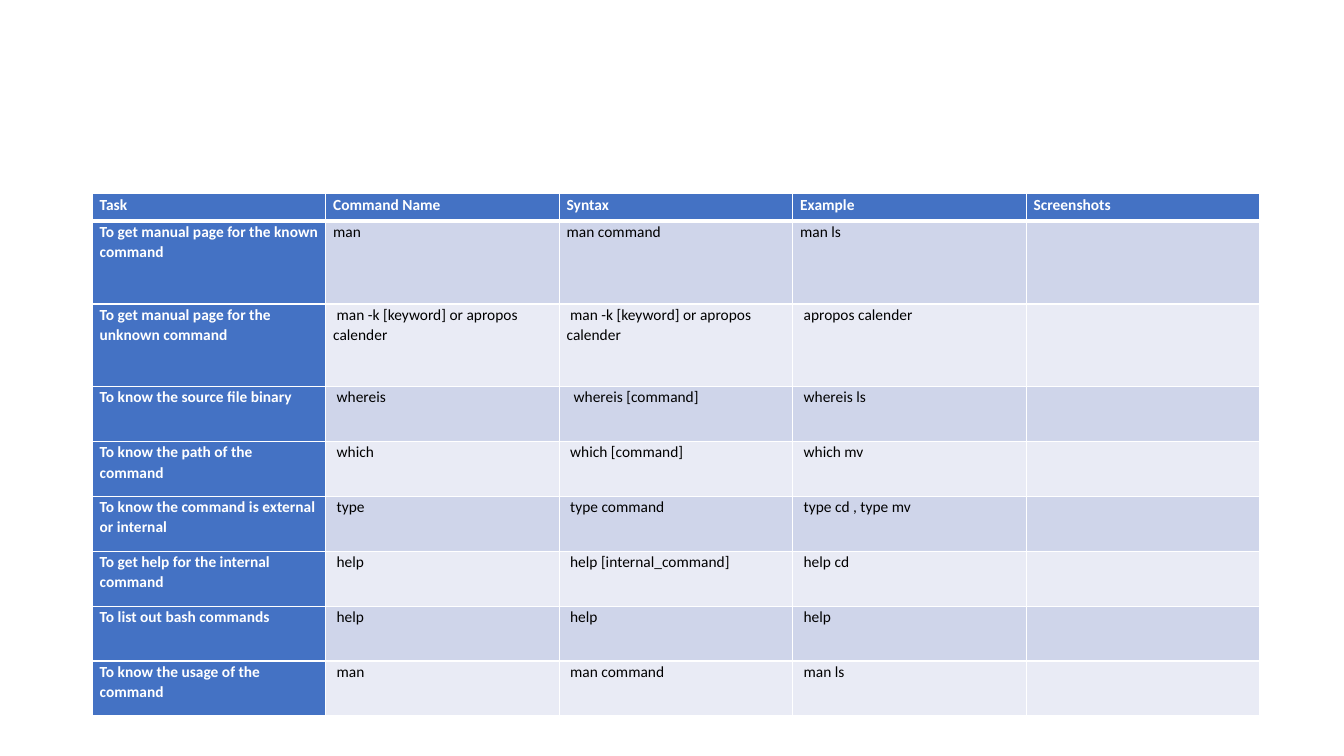
import pptx
import pptx.dml.color
import pptx.oxml.ns
import pptx.util
from lxml import etree

Pt = pptx.util.Pt


def color(value):
    return pptx.dml.color.RGBColor.from_string(value)


class Deck:
    font, size = "Calibri", 11
    white, black, accent = "FFFFFF", "000000", "4472C4"
    bands = ("CFD5EA", "E9EBF5")

    def __init__(self, width, height):
        self.prs = pptx.Presentation()
        self.prs.slide_width, self.prs.slide_height = Pt(width), Pt(height)
        self.s = self.prs.slides.add_slide(self.prs.slide_layouts[6])

    def border(self, cell, side, width):
        qn = pptx.oxml.ns.qn
        ln = etree.SubElement(cell._tc.get_or_add_tcPr(), qn("a:" + side), w=str(Pt(width)))
        fill = etree.SubElement(ln, qn("a:solidFill"))
        etree.SubElement(fill, qn("a:srgbClr"), val=self.white)

    def cell(self, cell, text, row, col, indent):
        # Borders come before the fill; a thick rule sits under the header
        thick = {"lnT": row == 1, "lnB": row == 0}
        for side in ("lnL", "lnR", "lnT", "lnB"):
            self.border(cell, side, 3 if thick.get(side) else 1)
        heading = row == 0 or col == 0
        cell.fill.solid()
        cell.fill.fore_color.rgb = color(self.accent if heading else self.bands[(row - 1) % 2])
        cell.margin_left = cell.margin_right = Pt(5.2)
        cell.margin_top = cell.margin_bottom = 0

        # Text
        p = cell.text_frame.paragraphs[0]
        p.text = text
        p.line_spacing, p.space_after = 1.07, Pt(8)
        if indent:
            p._p.get_or_add_pPr().set("indent", str(Pt(indent)))
        p.font.name, p.font.size = self.font, Pt(self.size)
        for r in p.runs:
            r.font.name, r.font.size, r.font.bold = self.font, Pt(self.size), heading
            r.font.color.rgb = color(self.white if heading else self.black)

    def table(self, left, top, width, heights, rows, indents):
        cols = len(rows[0])
        tbl = self.s.shapes.add_table(len(rows), cols, Pt(left), Pt(top),
                                      Pt(width), Pt(sum(heights))).table
        tbl.first_col = True
        for column in tbl.columns:
            column.width = Pt(width / cols)
        for i, (height, texts) in enumerate(zip(heights, rows)):
            tbl.rows[i].height = Pt(height)
            for j, text in enumerate(texts):
                self.cell(tbl.cell(i, j), text, i, j, indents.get((i, j), 0))


# Content
COMMANDS = [
    ("Task", "Command Name", "Syntax", "Example", "Screenshots"),
    ("To get manual page for the known command", "man", "man command", "man ls", ""),
    ("To get manual page for the unknown command", "man -k [keyword] or apropos calender",
     "man -k [keyword] or apropos calender", "apropos calender", ""),
    ("To know the source file binary", "whereis", "whereis [command]", "whereis ls", ""),
    ("To know the path of the command", "which", "which [command]", "which mv", ""),
    ("To know the command is external or internal", "type", "type command",
     "type cd , type mv", ""),
    ("To get help for the internal command", "help", "help [internal_command]", "help cd", ""),
    ("To list out bash commands", "help", "help", "help", ""),
    ("To know the usage of the command", "man", "man command", "man ls", ""),
]


def main():
    deck = Deck(960, 540)
    # First-line indents of the command cells
    indents = {(i, j): 2.5 for i in range(2, len(COMMANDS)) for j in range(1, 4)}
    indents[3, 2] = 5
    heights = [19.6] + [59.1] * 2 + [39.2] * 6
    deck.table(66, 138.5, 834, heights, COMMANDS, indents)
    deck.prs.save("out.pptx")


if __name__ == "__main__":
    main()
